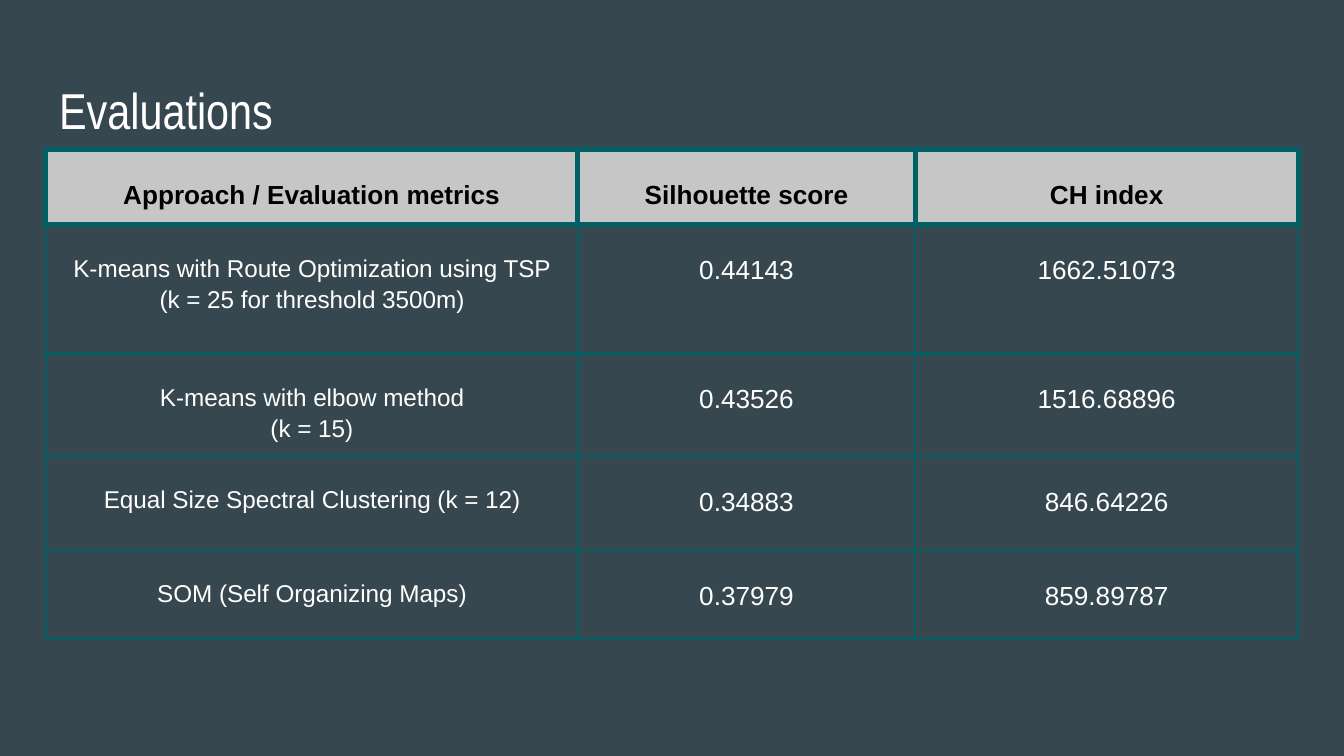
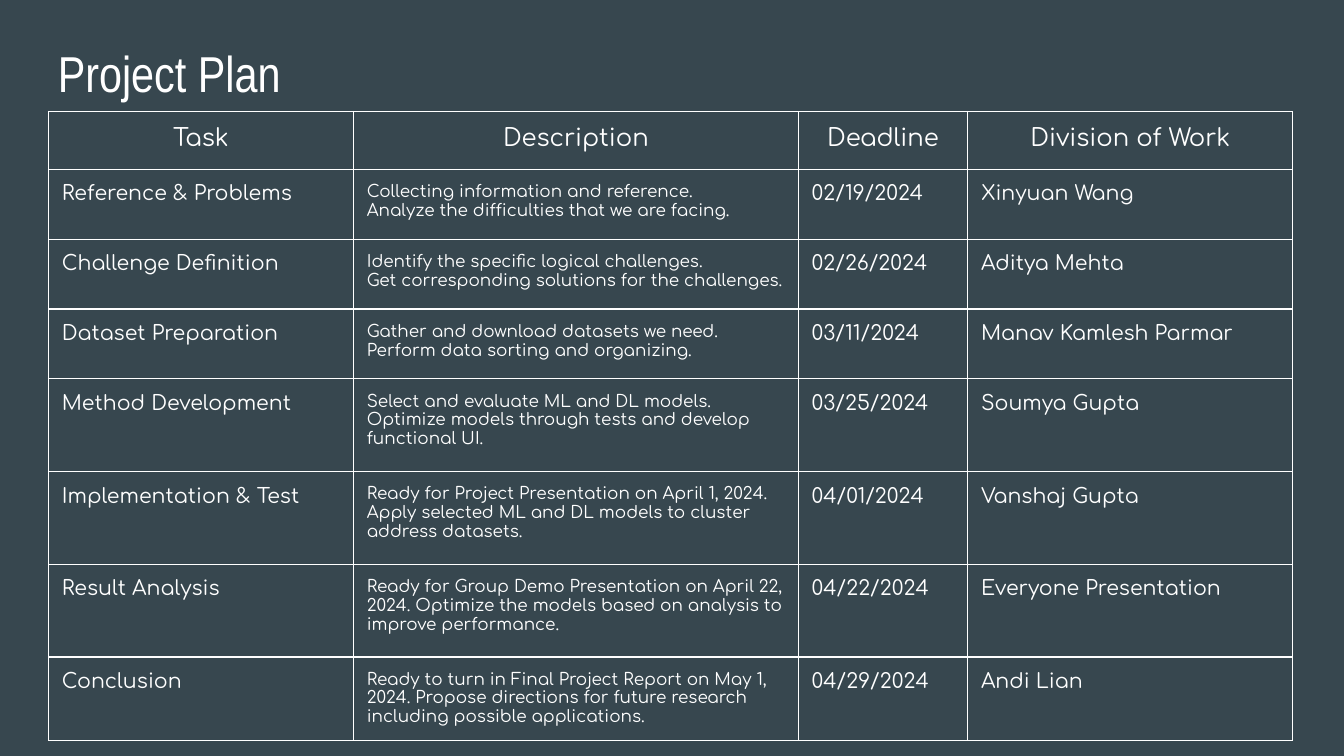
from lxml import etree
from pptx import Presentation
from pptx.dml.color import RGBColor
from pptx.enum import text
from pptx.oxml import ns
from pptx.util import Inches, Pt

SLATE = RGBColor(0x37, 0x47, 0x4F)
TEAL = RGBColor(0x00, 0x60, 0x64)
SILVER = RGBColor(0xC6, 0xC6, 0xC6)
WHITE = RGBColor(0xFF, 0xFF, 0xFF)
BLACK = RGBColor(0x00, 0x00, 0x00)

CENTER, LEFT = text.PP_ALIGN.CENTER, text.PP_ALIGN.LEFT

# Widescreen 16:9 deck on a slate background
prs = Presentation()
prs.slide_width = Inches(10)
prs.slide_height = Inches(10) * 9 // 16
prs.slide_master.background.fill.solid()
prs.slide_master.background.fill.fore_color.rgb = SLATE


def add_titled_table(heading, heading_at, table_at, col_widths, row_heights):
    """Add a slide with its title and an unstyled table; return the table."""
    slide = prs.slides.add_slide(prs.slide_layouts[5])
    title = slide.shapes.title
    title.left, title.top = map(Inches, heading_at)
    title.width, title.height = Inches(9.32), Inches(0.63)
    frame = title.text_frame
    frame.text = heading
    frame.word_wrap = True
    frame.auto_size = text.MSO_AUTO_SIZE.NONE
    frame.vertical_anchor = text.MSO_ANCHOR.TOP
    frame.margin_left = frame.margin_right = Inches(0.1)
    frame.margin_top = frame.margin_bottom = Inches(0.1)
    line = frame.paragraphs[0]
    line.alignment = LEFT
    line.font.size, line.font.name = Pt(27), "Arial Narrow"
    line.font.color.rgb = WHITE

    table = slide.shapes.add_table(
        len(row_heights), len(col_widths), *map(Inches, table_at),
        Inches(sum(col_widths)), Inches(sum(row_heights))).table
    table.first_row = table.horz_banding = False
    for column, width in zip(table.columns, col_widths):
        column.width = Inches(width)
    for row, height in zip(table.rows, row_heights):
        row.height = Inches(height)
    return table


def fill_cell(cell, content, font, size, color, align, border, widths,
              top=0.1, spacing=None, fill=None, bold=False):
    """Write a cell; widths gives its left, right, top and bottom borders."""
    cell.text = content
    cell.margin_left = cell.margin_right = cell.margin_bottom = Inches(0.1)
    cell.margin_top = Inches(top)
    for line in cell.text_frame.paragraphs:
        line.alignment = align
        if spacing:
            line.line_spacing = spacing
        line.font.name, line.font.size, line.font.bold = font, Pt(size), bold
        line.font.color.rgb = color
    props = cell._tc.get_or_add_tcPr()
    for side, width in zip("LRTB", widths):
        edge = etree.SubElement(props, ns.qn(f"a:ln{side}"), w=str(Pt(width)))
        solid = etree.SubElement(edge, ns.qn("a:solidFill"))
        etree.SubElement(solid, ns.qn("a:srgbClr"), val=str(border))
    if fill is None:
        cell.fill.background()
    else:
        cell.fill.solid()
        cell.fill.fore_color.rgb = fill


# Evaluations
scores = [
    ("Approach / Evaluation metrics", "Silhouette score", "CH index"),
    ("K-means with Route Optimization using TSP\n(k = 25 for threshold 3500m)",
     "0.44143", "1662.51073"),
    ("K-means with elbow method\n(k = 15)", "0.43526", "1516.68896"),
    ("Equal Size Spectral Clustering (k = 12)", "0.34883", "846.64226"),
    ("SOM (Self Organizing Maps)", "0.37979", "859.89787"),
]
evaluations = add_titled_table(
    "Evaluations", (0.34, 0.49), (0.34, 1.11),
    [3.96, 2.51, 2.85], [0.56, 0.96, 0.74, 0.7, 0.66])
for r, row in enumerate(scores):
    header = r == 0
    side = 3 if header else 1.5
    above = 3 if r <= 1 else 1.5
    for c, content in enumerate(row):
        fill_cell(evaluations.cell(r, c), content, "Arial",
                  14 if header or c else 13, BLACK if header else WHITE,
                  CENTER, TEAL, (side, side, above, side), top=0.2,
                  spacing=1.15, fill=SILVER if header else None, bold=header)

# Project plan
tasks = [
    ("Task", "Description", "Deadline", "Division of Work"),
    ("Reference & Problems",
     "Collecting information and reference.\n"
     "Analyze the difficulties that we are facing.",
     "02/19/2024", "Xinyuan Wang"),
    ("Challenge Definition",
     "Identify the specific logical challenges.\n"
     "Get corresponding solutions for the challenges.",
     "02/26/2024", "Aditya Mehta"),
    ("Dataset Preparation",
     "Gather and download datasets we need.\n"
     "Perform data sorting and organizing.",
     "03/11/2024", "Manav Kamlesh Parmar"),
    ("Method Development",
     "Select and evaluate ML and DL models.\n"
     "Optimize models through tests and develop functional UI.",
     "03/25/2024", "Soumya Gupta"),
    ("Implementation & Test",
     "Ready for Project Presentation on April 1, 2024.\n"
     "Apply selected ML and DL models to cluster address datasets.",
     "04/01/2024", "Vanshaj Gupta"),
    ("Result Analysis",
     "Ready for Group Demo Presentation on April 22, 2024. "
     "Optimize the models based on analysis to improve performance.",
     "04/22/2024", "Everyone Presentation"),
    ("Conclusion",
     "Ready to turn in Final Project Report on May 1, 2024. "
     "Propose directions for future research including possible applications.",
     "04/29/2024", "Andi Lian"),
]
plan = add_titled_table(
    "Project Plan", (0.33, 0.21), (0.36, 0.83),
    [2.27, 3.31, 1.26, 2.42], [0.43] + [0.52] * 3 + [0.69] * 3 + [0.58])
for r, row in enumerate(tasks):
    for c, content in enumerate(row):
        size = 13 if r == 0 else 9 if c == 1 else 11
        fill_cell(plan.cell(r, c), content, "Comfortaa", size, WHITE,
                  CENTER if r == 0 else LEFT, WHITE, [0.75] * 4)

prs.save("out.pptx")
